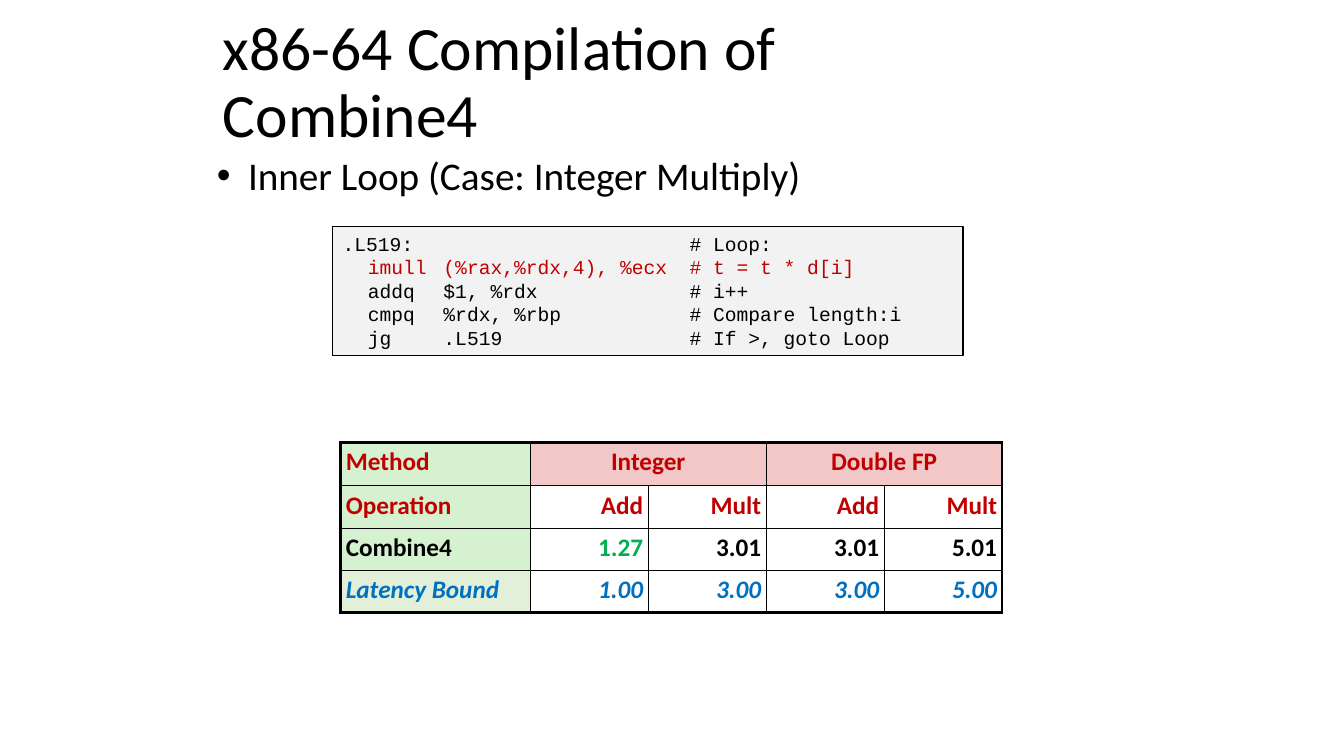
"""Build the slide on the x86-64 compilation of Combine4."""
from dataclasses import dataclass
from typing import Any

from lxml import etree
from pptx import Presentation
from pptx.dml.color import RGBColor
from pptx.enum.shapes import MSO_SHAPE
from pptx.enum.text import MSO_ANCHOR, MSO_AUTO_SIZE, PP_ALIGN
from pptx.oxml.ns import qn
from pptx.util import Inches, Pt

RECTANGLE = MSO_SHAPE.RECTANGLE
TOP, MIDDLE = MSO_ANCHOR.TOP, MSO_ANCHOR.MIDDLE
NO_FIT = MSO_AUTO_SIZE.NONE
LEFT, CENTER, RIGHT = PP_ALIGN.LEFT, PP_ALIGN.CENTER, PP_ALIGN.RIGHT

COLORS = {
    "black": "000000", "red": "C00000", "green": "00B050", "blue": "0070C0",
    "code": "F2F2F2", "label": "D5F1CF", "bound": "E2F0D9", "group": "F1C7C7",
}
TAB_STOPS = (0.25, 1, 3.44)
COLUMN_WIDTHS = (1.88, 1.17, 1.17, 1.17, 1.17)
ROW_HEIGHTS = (0.43, 0.42, 0.42, 0.42)
THIN, THICK = 1, 2.25
FRAME = {"word_wrap": True, "auto_size": NO_FIT,
         "margin_left": Inches(0.1), "margin_right": Inches(0.1),
         "margin_top": Inches(0.05), "margin_bottom": Inches(0.05)}
CELL_MARGINS = {side: Inches(0.05) for side in
                ("margin_left", "margin_right", "margin_top", "margin_bottom")}


@dataclass
class Instruction:
    """One line of assembly code."""
    text: str
    color: str = "black"


@dataclass
class Measure:
    """One row of the performance table."""
    label: str
    values: tuple[str, ...]
    color: str
    label_fill: str = "label"
    value_fill: str | None = None
    align: Any = RIGHT
    italic: bool = False


LOOP = (
    Instruction(".L519:\t\t# Loop:"),
    Instruction("\timull\t(%rax,%rdx,4), %ecx\t# t = t * d[i]", "red"),
    Instruction("\taddq\t$1, %rdx\t# i++"),
    Instruction("\tcmpq\t%rdx, %rbp\t# Compare length:i"),
    Instruction("\tjg\t.L519\t# If >, goto Loop"),
)
MEASURES = (
    Measure("Method", ("Integer", "", "Double FP", ""), "red",
            value_fill="group", align=CENTER),
    Measure("Operation", ("Add", "Mult", "Add", "Mult"), "red"),
    Measure("Combine4", ("1.27", "3.01", "3.01", "5.01"), "black"),
    Measure("Latency Bound", ("1.00", "3.00", "3.00", "5.00"), "blue", "bound", italic=True),
)
HIGHLIGHTS = {(2, 1): "green"}


def rgb(name: str) -> RGBColor:
    """Look up a colour by its name."""
    return RGBColor.from_string(COLORS[name])


def apply(target: Any, formats: dict[str, Any]) -> None:
    """Set each format value on the target."""
    for attribute, value in formats.items():
        setattr(target, attribute, value)


def write(paragraph: Any, text: str, size: float, color: str = "black",
          font: str = "Calibri", bold: bool = False, italic: bool = False,
          **layout: Any) -> None:
    """Write one formatted run into a paragraph."""
    apply(paragraph, layout)
    run = paragraph.add_run()
    run.text = text
    apply(run.font, {"name": font, "size": Pt(size), "bold": bold, "italic": italic})
    run.font.color.rgb = rgb(color)


def place(shape: Any, left: float, top: float, width: float, height: float) -> None:
    """Move a shape to its place on the slide."""
    apply(shape, {"left": Inches(left), "top": Inches(top),
                  "width": Inches(width), "height": Inches(height)})


def add_tab_stops(paragraph: Any) -> None:
    """Give a code line its left tab stops."""
    stops = etree.SubElement(paragraph._p.get_or_add_pPr(), qn("a:tabLst"))
    for position in TAB_STOPS:
        etree.SubElement(stops, qn("a:tab"), pos=str(Inches(position)), algn="l")


def add_borders(cell: Any, row: int, column: int) -> None:
    """Draw cell borders, thick along the outside of the table."""
    outer = {"L": column == 0, "R": column == len(COLUMN_WIDTHS) - 1,
             "T": row == 0, "B": row == len(ROW_HEIGHTS) - 1}
    properties = cell._tc.get_or_add_tcPr()
    for side, is_outer in outer.items():
        border = etree.SubElement(properties, qn(f"a:ln{side}"),
                                  w=str(Pt(THICK if is_outer else THIN)))
        fill = etree.SubElement(border, qn("a:solidFill"))
        etree.SubElement(fill, qn("a:srgbClr"), val=COLORS["black"])


def add_code(slide: Any) -> None:
    """Add the box with the inner loop."""
    code = slide.shapes.add_shape(RECTANGLE, Inches(3.3), Inches(2.25),
                                  Inches(6.25), Inches(1.28))
    code.shadow.inherit = False
    code.fill.solid()
    code.fill.fore_color.rgb = rgb("code")
    code.line.color.rgb = rgb("black")
    code.line.width = Pt(THIN)
    frame = code.text_frame
    apply(frame, FRAME | {"vertical_anchor": TOP})
    for index, instruction in enumerate(LOOP):
        paragraph = frame.add_paragraph() if index else frame.paragraphs[0]
        write(paragraph, instruction.text, 14, instruction.color, "Courier New", alignment=LEFT)
        add_tab_stops(paragraph)


def add_measures(slide: Any) -> None:
    """Add the performance table."""
    table = slide.shapes.add_table(
        len(ROW_HEIGHTS), len(COLUMN_WIDTHS), Inches(3.38), Inches(4.39),
        Inches(sum(COLUMN_WIDTHS)), Inches(sum(ROW_HEIGHTS))).table
    apply(table, {"first_row": False, "horz_banding": False})
    for column, width in zip(table.columns, COLUMN_WIDTHS):
        column.width = Inches(width)
    for row, height in zip(table.rows, ROW_HEIGHTS):
        row.height = Inches(height)
    for first in (1, 3):
        table.cell(0, first).merge(table.cell(0, first + 1))
    for row, measure in enumerate(MEASURES):
        for column, text in enumerate((measure.label, *measure.values)):
            cell = table.cell(row, column)
            apply(cell, CELL_MARGINS)
            add_borders(cell, row, column)
            fill = measure.value_fill if column else measure.label_fill
            if fill:
                cell.fill.solid()
                cell.fill.fore_color.rgb = rgb(fill)
            else:
                cell.fill.background()
            if text:
                write(cell.text_frame.paragraphs[0], text, 18,
                      HIGHLIGHTS.get((row, column), measure.color),
                      bold=True, italic=measure.italic, line_spacing=0.95,
                      alignment=measure.align if column else LEFT)


def main() -> None:
    """Build and save the slide."""
    deck = Presentation()
    apply(deck, {"slide_width": Inches(13.33), "slide_height": Inches(7.5)})
    slide = deck.slides.add_slide(deck.slide_layouts[1])
    title, body = slide.placeholders
    place(title, 2.11, 0.42, 8.3, 0.83)
    apply(title.text_frame, FRAME | {"vertical_anchor": MIDDLE})
    write(title.text_frame.paragraphs[0], "x86-64 Compilation of Combine4", 44,
          alignment=LEFT, line_spacing=0.9)
    place(body, 2.05, 1.5, 9.03, 0.75)
    apply(body.text_frame, FRAME | {"vertical_anchor": TOP})
    topic = body.text_frame.paragraphs[0]
    write(topic, "Inner Loop (Case: Integer Multiply)", 28,
          alignment=LEFT, line_spacing=0.9, space_before=Pt(10))
    indent = Inches(0.31)
    for attribute, value in {"marL": indent, "indent": -indent}.items():
        topic._p.get_or_add_pPr().set(attribute, str(value))
    add_code(slide)
    add_measures(slide)
    deck.save("out.pptx")


main()
